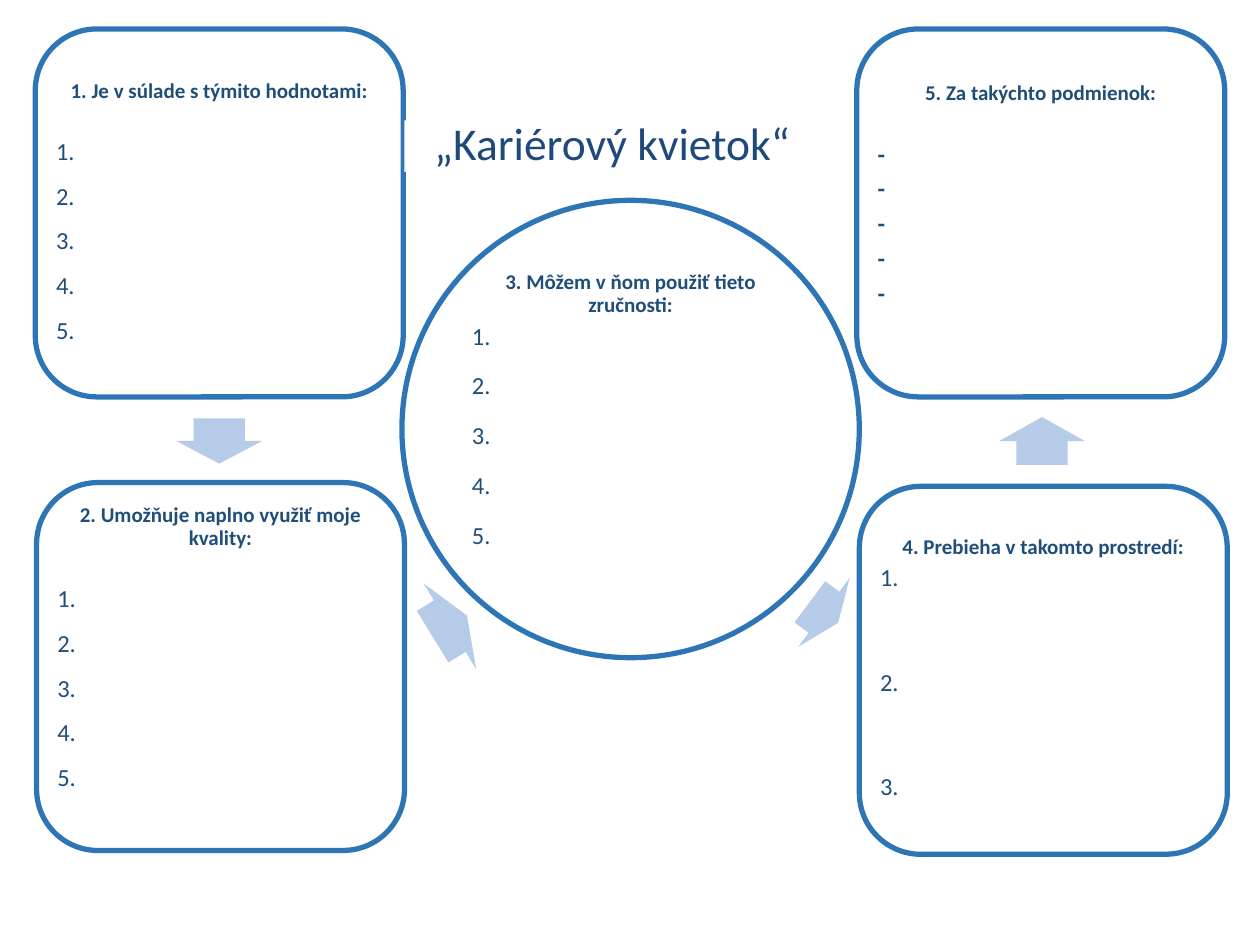
from pptx import Presentation
from pptx.dml.color import RGBColor
from pptx.enum.shapes import MSO_SHAPE as Shape
from pptx.enum.text import MSO_ANCHOR as Anchor, MSO_AUTO_SIZE as AutoSize, PP_ALIGN as Align
from pptx.util import Inches, Pt

OUTLINE = RGBColor(0x2E, 0x75, 0xB6)
BODY = RGBColor(0x1F, 0x4E, 0x79)
TITLE = RGBColor(0x1F, 0x49, 0x7D)
ARROW = RGBColor(0xB5, 0xCB, 0xE7)
WHITE = RGBColor(0xFF, 0xFF, 0xFF)

PETAL_SIZE, PETAL_PAD = 2.92, 0.145
CENTRE_SIZE, CENTRE_PAD = 3.63, 0.535
DASHES = ["-"] * 5


def numbers(count):
    return [f"{n}." for n in range(1, count + 1)]


def format_line(paragraph, size, color, align, bold=False, after=0):
    paragraph.alignment = align
    paragraph.line_spacing = 0.9
    paragraph.space_before = Pt(0)
    paragraph.space_after = Pt(after)
    for run in paragraph.runs:
        run.font.name = "Calibri"
        run.font.size = Pt(size)
        run.font.bold = bold
        run.font.color.rgb = color


def add_outline(slide, kind, left, top, size):
    outline = slide.shapes.add_shape(kind, Inches(left), Inches(top), Inches(size), Inches(size))
    outline.shadow.inherit = False
    outline.fill.background()
    outline.line.color.rgb = OUTLINE
    outline.line.width = Pt(3)


def add_list(slide, left, top, size, inset, heading, heading_gap, items, item_gap, bold=False):
    box = slide.shapes.add_textbox(Inches(left), Inches(top), Inches(size), Inches(size))
    frame = box.text_frame
    frame.word_wrap = True
    frame.vertical_anchor = Anchor.TOP
    frame.margin_left = frame.margin_right = frame.margin_bottom = Inches(0.02)
    frame.margin_top = Inches(inset)
    frame.text = "\n".join([heading, *items])
    first, *rest = frame.paragraphs
    format_line(first, 12, BODY, Align.CENTER, bold=True, after=heading_gap)
    for item in rest:
        format_line(item, 14, BODY, Align.LEFT, bold=bold, after=item_gap)


def add_part(slide, kind, left, top, size, pad, *content):
    add_outline(slide, kind, left, top, size)
    add_list(slide, left + pad, top + pad, size - 2 * pad, *content)


def add_arrow(slide, left, top, width, height, rotation=0, color=ARROW):
    arrow = slide.shapes.add_shape(
        Shape.RIGHT_ARROW, Inches(left), Inches(top), Inches(width), Inches(height))
    arrow.adjustments[0] = 0.6
    arrow.adjustments[1] = 0.5
    arrow.rotation = rotation
    arrow.shadow.inherit = False
    arrow.fill.solid()
    arrow.fill.fore_color.rgb = color
    arrow.line.fill.background()


def set_title(slide, text):
    title = slide.shapes.title
    title.left, title.top = Inches(3.21), Inches(0.95)
    title.width, title.height = Inches(3.3), Inches(0.41)
    frame = title.text_frame
    frame.text = text
    frame.auto_size = AutoSize.NONE
    frame.vertical_anchor = Anchor.MIDDLE
    frame.margin_left = frame.margin_right = frame.margin_top = frame.margin_bottom = 0
    format_line(frame.paragraphs[0], 26, TITLE, Align.CENTER)
    # Bring the title in front of its white backing arrow
    slide.shapes._spTree.append(title._element)


def main():
    prs = Presentation()
    prs.slide_width, prs.slide_height = Inches(10), Inches(7.5)
    slide = prs.slides.add_slide(prs.slide_layouts[5])

    # Four petals: left, top, text inset, heading, gap, items, gap, bold items
    petals = [
        (6.8, 0.23, 0.28, "5. Za takýchto podmienok:", 21, DASHES, 4.7, True),
        (6.82, 3.86, 0.25, "4. Prebieha v takomto prostredí:", 4, numbers(3), 44.6),
        (0.29, 3.83, 0.03, "2. Umožňuje naplno využiť moje kvality:", 21, numbers(5), 10.4),
        (0.28, 0.23, 0.26, "1. Je v súlade s týmito hodnotami:", 21, numbers(5), 10.4),
    ]
    for left, top, *content in petals:
        add_part(slide, Shape.ROUNDED_RECTANGLE, left, top, PETAL_SIZE, PETAL_PAD, *content)

    # Centre of the flower
    add_part(slide, Shape.OVAL, 3.19, 1.59, CENTRE_SIZE, CENTRE_PAD,
             0.03, "3. Môžem v ňom použiť tieto zručnosti:", 4, numbers(5), 13.3)

    # Arrows from part 1 round to part 5
    add_arrow(slide, 1.56, 3.16, 0.36, 0.68, 90)
    add_arrow(slide, 3.41, 4.57, 0.32, 0.8, 328.4)
    add_arrow(slide, 6.4, 4.52, 0.28, 0.68, 36.7)
    add_arrow(slide, 8.08, 3.16, 0.38, 0.68, 270)

    # Title on a white arrow
    add_arrow(slide, 3.21, 0.82, 3.51, 0.68, color=WHITE)
    set_title(slide, "„Kariérový kvietok“")

    prs.save("out.pptx")


if __name__ == "__main__":
    main()
